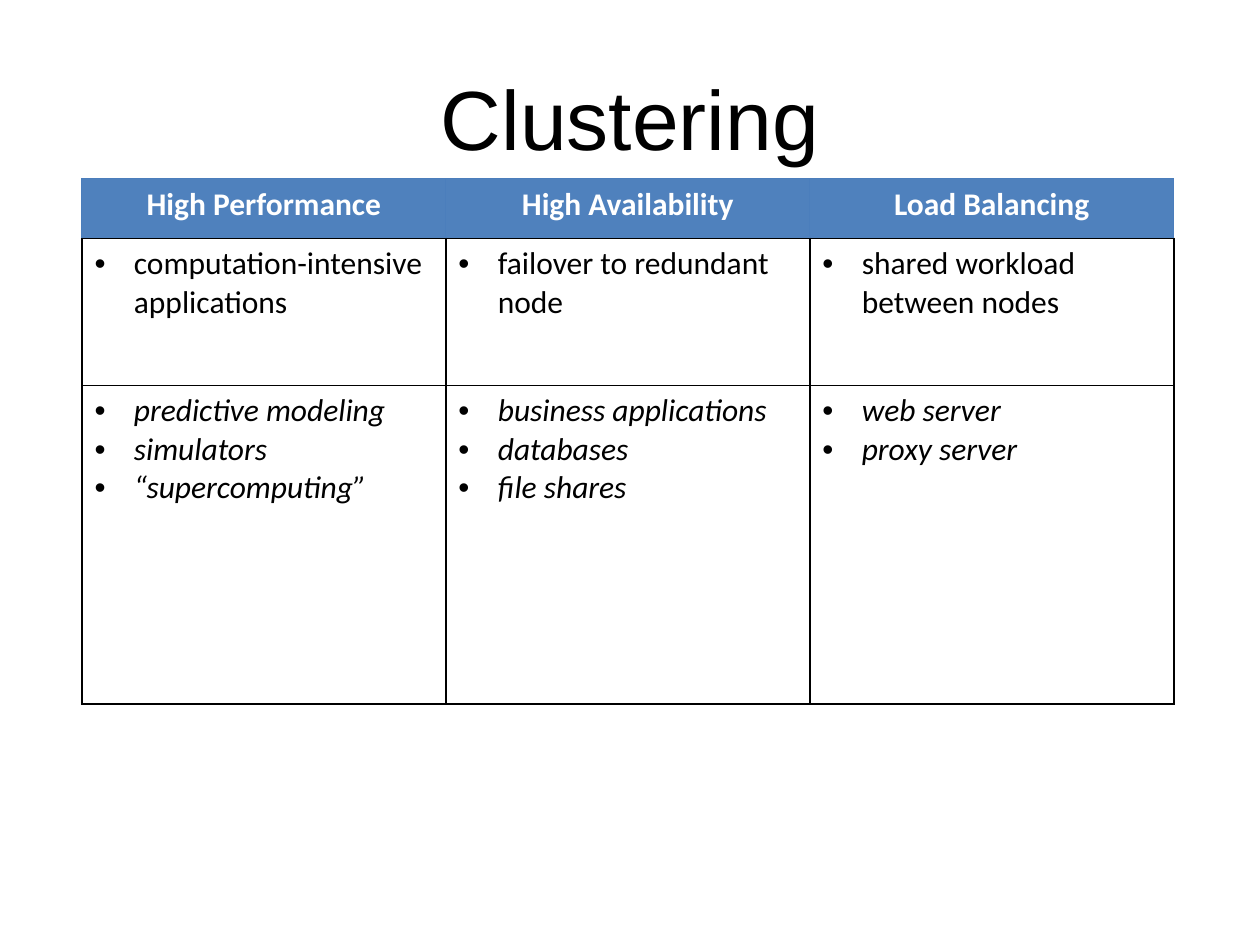
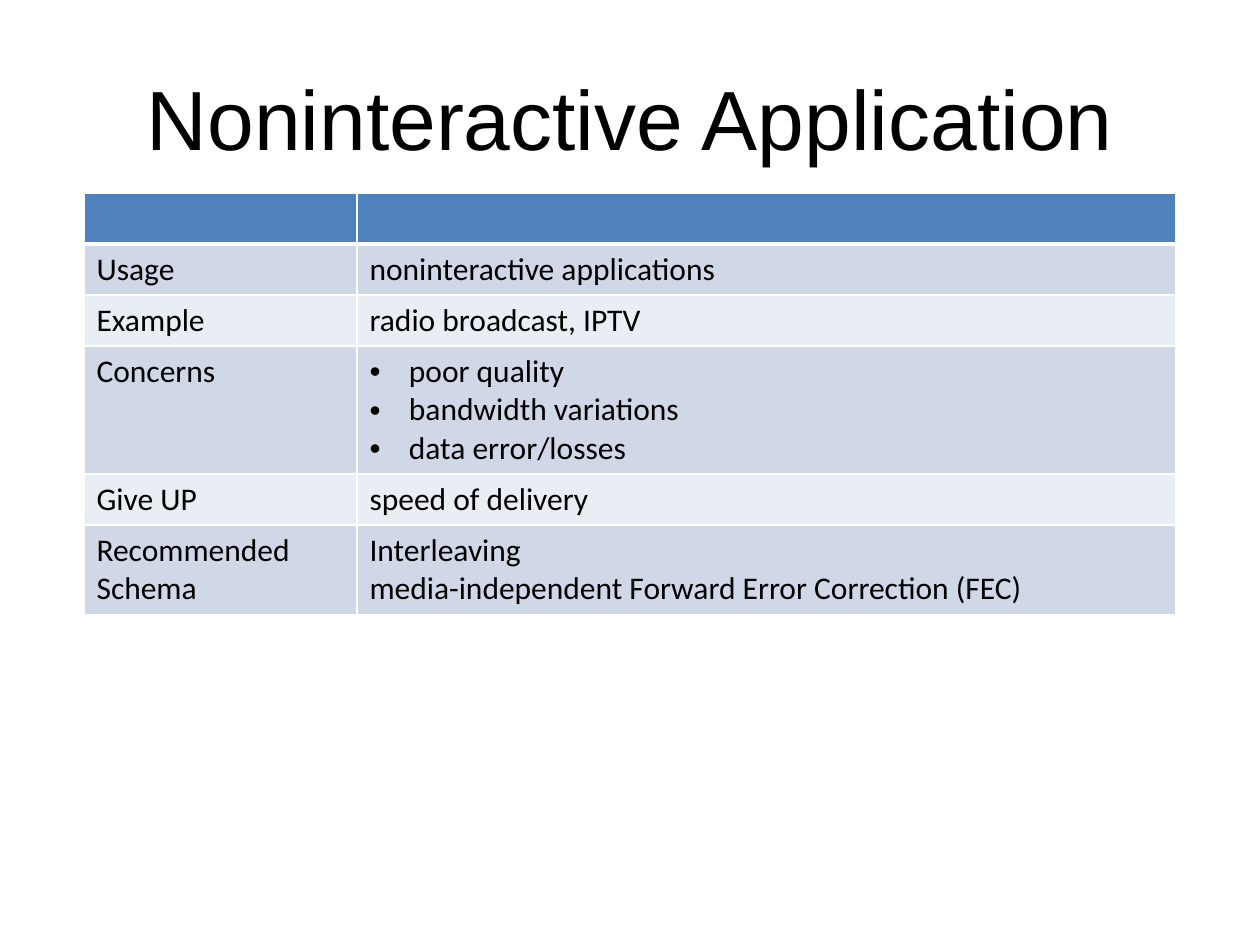
from lxml import etree
from pptx import Presentation
from pptx.dml.color import RGBColor
from pptx.enum.text import MSO_ANCHOR, PP_ALIGN
from pptx.oxml.ns import qn
from pptx.util import Pt

CENTER = PP_ALIGN.CENTER
LEFT = PP_ALIGN.LEFT
MIDDLE = MSO_ANCHOR.MIDDLE
TITLE_ONLY = 5

BLACK = "000000"
WHITE = "FFFFFF"
HEADER_BLUE = "4F81BD"
EDGE_BLUE = "4B7EBC"
BANDS = ("D0D8E8", "E9EDF4")
BULLET_INDENT = 22.5


def color(value):
    return RGBColor.from_string(value)


class Deck:
    title_font = "Arial"
    title_size = 48
    body_font = "Calibri"
    body_size = 18

    def __init__(self):
        self.presentation = Presentation()
        self.presentation.slide_width = Pt(720)
        self.presentation.slide_height = Pt(540)
        self.slide = None

    def add_slide(self, title):
        layout = self.presentation.slide_layouts[TITLE_ONLY]
        self.slide = self.presentation.slides.add_slide(layout)
        shape = self.slide.shapes.title
        shape.left, shape.top = Pt(36), Pt(21.6)
        shape.width, shape.height = Pt(648), Pt(90)
        shape.text_frame.text = title
        shape.text_frame.vertical_anchor = MIDDLE
        paragraph = shape.text_frame.paragraphs[0]
        paragraph.alignment = CENTER
        self.style_font(paragraph.runs[0].font, self.title_font, self.title_size, BLACK)

    def add_table(self, left, top, widths, heights):
        shape = self.slide.shapes.add_table(
            len(heights), len(widths), Pt(left), Pt(top), Pt(sum(widths)), Pt(sum(heights)))
        table = shape.table
        table.first_row = False
        table.horz_banding = False
        for column, width in zip(table.columns, widths):
            column.width = Pt(width)
        for row, height in zip(table.rows, heights):
            row.height = Pt(height)
        return table

    def fill_cell(self, cell, lines, fill=None, font_color=BLACK, bold=False,
                  italic=False, align=LEFT, bullets=False):
        if fill:
            cell.fill.solid()
            cell.fill.fore_color.rgb = color(fill)
        else:
            cell.fill.background()
        cell.text_frame.text = "\n".join(lines)
        for paragraph in cell.text_frame.paragraphs:
            paragraph.alignment = align
            self.style_font(paragraph.font, self.body_font, self.body_size, font_color)
            for run in paragraph.runs:
                self.style_font(run.font, self.body_font, self.body_size, font_color)
                run.font.bold = bold
                run.font.italic = italic
            if bullets:
                self.add_bullet(paragraph)

    def add_bullet(self, paragraph):
        properties = paragraph._p.get_or_add_pPr()
        properties.set("marL", str(Pt(BULLET_INDENT)))
        properties.set("indent", str(-Pt(BULLET_INDENT)))
        font = etree.Element(qn("a:buFont"), typeface="Arial")
        character = etree.Element(qn("a:buChar"), char="•")
        properties.insert(0, font)
        properties.insert(1, character)

    def set_borders(self, cell, left, right, top, bottom):
        properties = cell._tc.get_or_add_tcPr()
        edges = {"L": left, "R": right, "T": top, "B": bottom}
        for position, (side, (line_color, width)) in enumerate(edges.items()):
            line = etree.Element(qn(f"a:ln{side}"), w=str(Pt(width)))
            fill = etree.SubElement(line, qn("a:solidFill"))
            etree.SubElement(fill, qn("a:srgbClr"), val=line_color)
            properties.insert(position, line)

    def style_font(self, font, name, size, font_color):
        font.name = name
        font.size = Pt(size)
        font.color.rgb = color(font_color)


def build_clustering(deck):
    deck.add_slide("Clustering")
    clusters = [
        ("High Performance", ["computation-intensive applications"],
         ["predictive modeling", "simulators", "“supercomputing”"]),
        ("High Availability", ["failover to redundant node"],
         ["business applications", "databases", "file shares"]),
        ("Load Balancing", ["shared workload between nodes"],
         ["web server", "proxy server"]),
    ]
    table = deck.add_table(46.8, 102.2, [208] * 3, [34, 84, 182])
    grid = (BLACK, 1)
    edge = (EDGE_BLUE, 0.75)
    for column, (heading, purpose, examples) in enumerate(clusters):
        header = table.cell(0, column)
        deck.fill_cell(header, [heading], HEADER_BLUE, WHITE, bold=True, align=CENTER)
        deck.set_borders(header, edge, edge, edge, grid)
        for row, lines in enumerate((purpose, examples), 1):
            cell = table.cell(row, column)
            deck.fill_cell(cell, lines, italic=row == 2, bullets=True)
            deck.set_borders(cell, grid, grid, grid, grid)


def build_noninteractive(deck):
    deck.add_slide("Noninteractive Application")
    rows = [
        ("", [""]),
        ("Usage", ["noninteractive applications"]),
        ("Example", ["radio broadcast, IPTV"]),
        ("Concerns", ["poor quality", "bandwidth variations", "data error/losses"]),
        ("Give UP", ["speed of delivery"]),
        ("Recommended Schema",
         ["Interleaving", "media-independent Forward Error Correction (FEC)"]),
    ]
    table = deck.add_table(48, 110.2, [156, 468], [29.2] * len(rows))
    thin = (WHITE, 1)
    thick = (WHITE, 3)
    for row, (label, details) in enumerate(rows):
        fill = BANDS[(row - 1) % 2] if row else HEADER_BLUE
        for column, lines in enumerate(([label], details)):
            cell = table.cell(row, column)
            bullets = label == "Concerns" and column == 1
            deck.fill_cell(cell, lines, fill, bullets=bullets)
            deck.set_borders(cell, thin, thin, thick if row == 1 else thin,
                             thick if row == 0 else thin)


def main():
    deck = Deck()
    build_clustering(deck)
    build_noninteractive(deck)
    deck.presentation.save("out.pptx")


if __name__ == "__main__":
    main()
